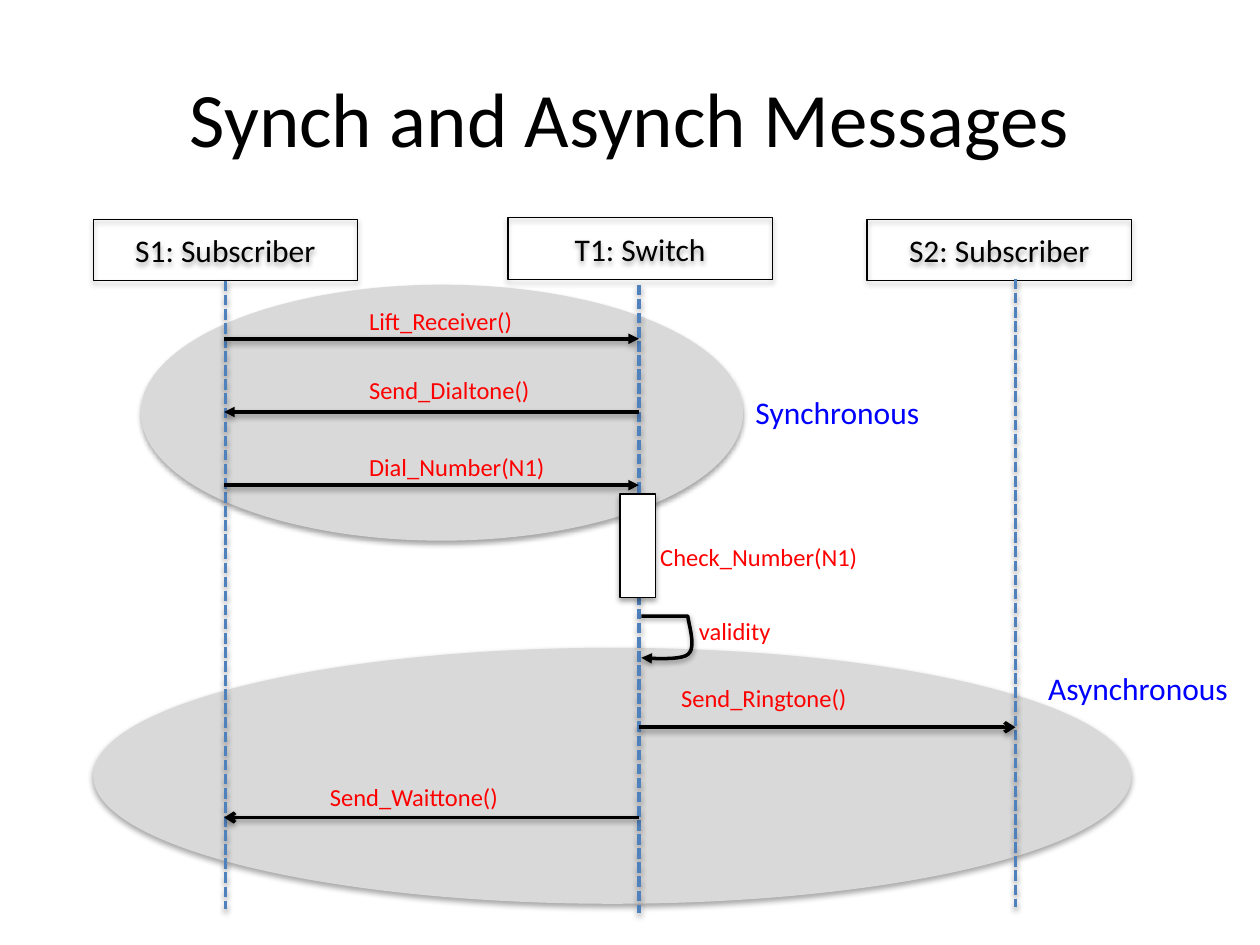
from collections import namedtuple

from pptx import Presentation
from pptx.dml.color import RGBColor
from pptx.enum.dml import MSO_LINE
from pptx.enum.shapes import MSO_CONNECTOR, MSO_SHAPE
from pptx.enum.text import MSO_ANCHOR, MSO_AUTO_SIZE, PP_ALIGN
from pptx.oxml.ns import qn
from pptx.oxml.xmlchemy import OxmlElement
from pptx.util import Cm, Pt

Box = namedtuple("Box", "left top width height")

BLACK, WHITE, GREY = "000000", "FFFFFF", "D9D9D9"
RED, BLUE, STEEL = "FF0000", "0000FF", "4F81BD"
S1, T1, S2 = 4.52, 12.88, 20.47


def color(value):
    return RGBColor.from_string(value)


def add_child(parent, tag, **attributes):
    child = OxmlElement(tag)
    for name, value in attributes.items():
        child.set(name, str(value))
    parent.append(child)
    return child


def add_shadow(shape, opacity=35, distance=1.8):
    effects = add_child(shape.element.spPr, "a:effectLst")
    shadow = add_child(effects, "a:outerShdw", blurRad=Pt(3.1), dist=Pt(distance),
                       dir=5400000, rotWithShape=0)
    tint = add_child(shadow, "a:srgbClr", val=BLACK)
    add_child(tint, "a:alpha", val=opacity * 1000)


def write(shape, text, size=14, fill=BLACK, align=PP_ALIGN.LEFT,
          anchor=MSO_ANCHOR.TOP, wrap=True):
    frame = shape.text_frame
    frame.word_wrap = wrap
    frame.auto_size = MSO_AUTO_SIZE.NONE if wrap else MSO_AUTO_SIZE.SHAPE_TO_FIT_TEXT
    frame.vertical_anchor = anchor
    para = frame.paragraphs[0]
    para.alignment = align
    span = para.add_run()
    span.text = text
    span.font.name = "Calibri"
    span.font.size = Pt(size)
    span.font.color.rgb = color(fill)


def place(box):
    return [Cm(length) for length in box]


def add_label(page, box, text, **style):
    write(page.shapes.add_textbox(*place(box)), text, wrap=False, **style)


def add_block(page, kind, box, fill=None, outlined=True):
    shape = page.shapes.add_shape(kind, *place(box))
    if fill:
        shape.fill.solid()
        shape.fill.fore_color.rgb = color(fill)
    else:
        shape.fill.background()
    if outlined:
        shape.line.color.rgb = color(BLACK)
        shape.line.width = Pt(0.75)
    else:
        shape.line.fill.background()
    add_shadow(shape)
    return shape


def style_line(line_shape, stroke=BLACK, dash=None, arrow=None):
    line_shape.line.color.rgb = color(stroke)
    line_shape.line.width = Pt(2)
    if dash:
        line_shape.line.dash_style = dash
    if arrow:
        add_child(line_shape.element.spPr.find(qn("a:ln")), "a:tailEnd", type=arrow)
    add_shadow(line_shape, opacity=38, distance=1.6)


def add_line(page, start, end, **style):
    line = page.shapes.add_connector(
        MSO_CONNECTOR.STRAIGHT, *[Cm(length) for length in start + end])
    style_line(line, **style)
    return line


def add_title(page, box, text):
    write(page.shapes.add_textbox(*place(box)), text, size=44,
          align=PP_ALIGN.CENTER, anchor=MSO_ANCHOR.MIDDLE)


def add_zone(page, box, text, label_left, label_top, label_width):
    add_block(page, MSO_SHAPE.OVAL, box, fill=GREY, outlined=False)
    label = Box(box.left + label_left, box.top + label_top, label_width, 1.02)
    add_label(page, label, text, size=18, fill=BLUE)


def add_participant(page, box, text, lifeline, gap=0, joined=False):
    head = add_block(page, MSO_SHAPE.RECTANGLE, box)
    write(head, text, size=18, align=PP_ALIGN.CENTER, anchor=MSO_ANCHOR.MIDDLE)
    top = box.top + box.height + gap
    line = add_line(page, (lifeline, top), (lifeline, top + 12.67),
                    stroke=STEEL, dash=MSO_LINE.SQUARE_DOT)
    if joined:
        line.begin_connect(head, 2)
        line.end_x = line.begin_x


def add_message(page, source, target, top, text, label_left, label_rise, label_width,
                arrow="triangle"):
    add_line(page, (source, top), (target, top), arrow=arrow)
    label = Box(min(source, target) + label_left, top - label_rise, label_width, 0.86)
    add_label(page, label, text, fill=RED)


def add_activation(page, box, text):
    add_block(page, MSO_SHAPE.RECTANGLE, box, fill=WHITE)
    add_label(page, Box(box.left + 0.56, box.top + 0.84, 4.52, 0.86), text, fill=RED)


def curve(points, steps=12):
    for step in range(1, steps + 1):
        t = step / steps
        weights = ((1 - t) ** 3, 3 * t * (1 - t) ** 2, 3 * t * t * (1 - t), t ** 3)
        yield tuple(sum(weight * point[axis] for weight, point in zip(weights, points))
                    for axis in (0, 1))


def add_self_call(page, box, text):
    corner, bend, end = (0.92, 0), (0.92, 0.92), (0, 1)
    outline = [corner,
               *curve((corner, (0.92, 0.15), (1.1, 0.76), bend)),
               *curve((bend, (0.77, 1.08), end, end))]
    points = [(Cm(box.left + x * box.width), Cm(box.top + y * box.height))
              for x, y in outline]
    builder = page.shapes.build_freeform(Cm(box.left), Cm(box.top))
    builder.add_line_segments(points, close=False)
    loop = builder.convert_to_shape()
    loop.fill.background()
    style_line(loop, arrow="triangle")
    add_label(page, Box(box.left + 0.91, box.top - 0.13, 1.98, 0.86), text, fill=RED)


def main():
    deck = Presentation()
    deck.slide_width, deck.slide_height = Cm(25.4), Cm(19.05)
    page = deck.slides.add_slide(deck.slide_layouts[6])

    add_zone(page, Box(1.88, 13.06, 20.93, 5.16), "Asynchronous", 19, 0.3, 4.19)
    add_zone(page, Box(2.84, 5.74, 12.14, 5.16), "Synchronous", 12.14, 2.06, 3.86)
    add_title(page, Box(1.27, 0.76, 22.86, 3.18), "Synch and Asynch Messages")

    add_participant(page, Box(1.88, 4.42, 5.33, 1.24), "S1: Subscriber", S1, joined=True)
    add_participant(page, Box(10.24, 4.39, 5.33, 1.24), "T1: Switch", T1, gap=0.11)
    add_participant(page, Box(17.48, 4.42, 5.33, 1.24), "S2: Subscriber", S2, gap=-0.04)

    calls = [(S1, T1, "Lift_Receiver()", 0.79, 3.43),
             (T1, S1, "Send_Dialtone()", 0.86, 3.78),
             (S1, T1, "Dial_Number(N1)", 0.79, 4.09)]
    for index, (source, target, text, rise, width) in enumerate(calls):
        add_message(page, source, target, 6.83 + 1.475 * index, text, 2.67, rise, width)

    add_activation(page, Box(12.5, 9.96, 0.71, 2.08), "Check_Number(N1)")
    add_self_call(page, Box(12.93, 12.42, 1.02, 0.84), "validity")
    add_message(page, T1, S2, 14.66, "Send_Ringtone()", 0.6, 1.02, 3.89, arrow="arrow")
    add_message(page, T1, S1, 16.48, "Send_Waittone()", 1.88, 0.84, 3.96, arrow="arrow")

    deck.save("out.pptx")


if __name__ == "__main__":
    main()
